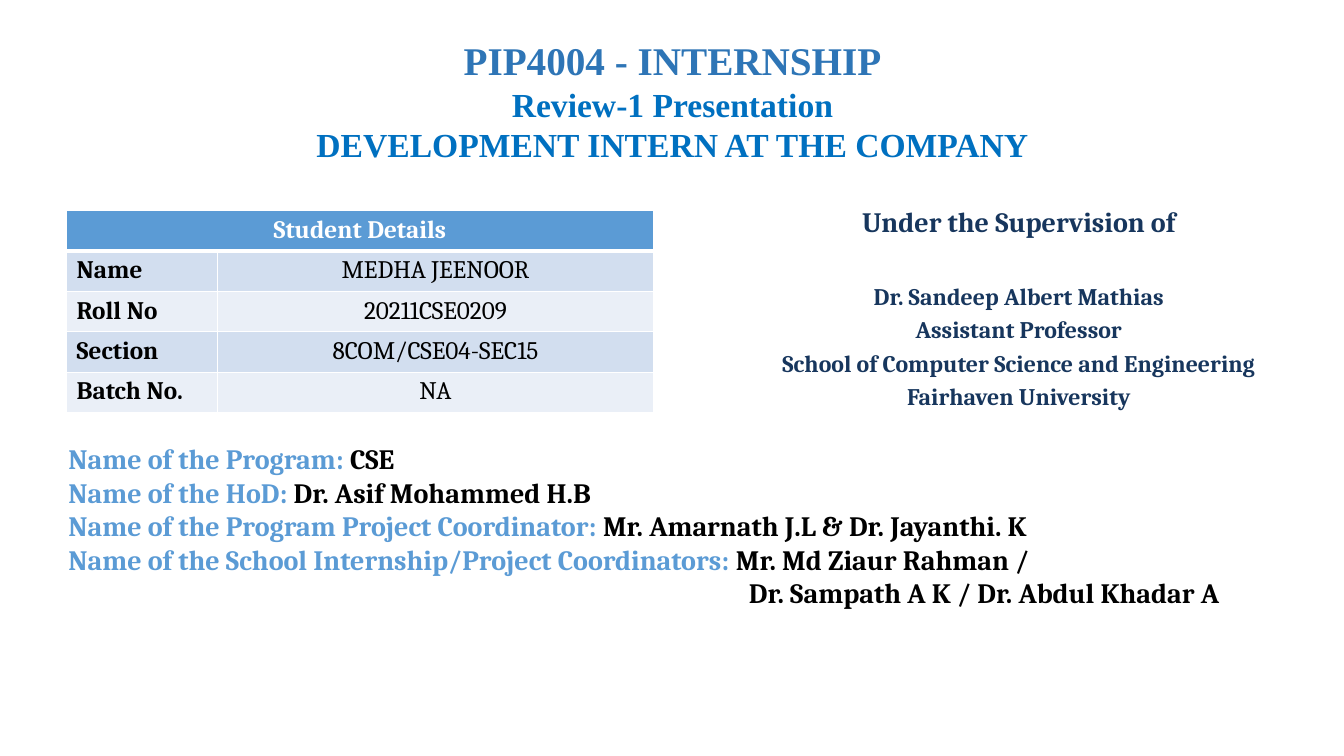
from lxml.etree import SubElement
from pptx import Presentation
from pptx.dml.color import RGBColor
from pptx.enum.text import MSO_ANCHOR, PP_ALIGN
from pptx.oxml.ns import qn
from pptx.util import Inches, Pt

WHITE = RGBColor(0xFF, 0xFF, 0xFF)
BLACK = RGBColor(0x00, 0x00, 0x00)
TITLE_BLUE = RGBColor(0x2E, 0x75, 0xB6)
SUBTITLE_BLUE = RGBColor(0x00, 0x70, 0xC0)
ACCENT_BLUE = RGBColor(0x5B, 0x9B, 0xD5)
NAVY = RGBColor(0x17, 0x36, 0x5D)
BANDS = (RGBColor(0xEA, 0xEF, 0xF7), RGBColor(0xD2, 0xDE, 0xEF))

TITLE_LINES = [
    ("PIP4004 - INTERNSHIP", 28, TITLE_BLUE),
    ("Review-1 Presentation", 24, SUBTITLE_BLUE),
    ("DEVELOPMENT INTERN AT THE COMPANY", 24, SUBTITLE_BLUE),
]
STUDENT_DETAILS = [
    ("Name", "MEDHA JEENOOR"),
    ("Roll No", "20211CSE0209"),
    ("Section", "8COM/CSE04-SEC15"),
    ("Batch No.", "NA"),
]
SUPERVISION_LINES = [
    ("Under the Supervision of", 20, 4),
    ("Dr. Sandeep Albert Mathias", 17, 31),
    ("Assistant Professor", 17, 3.4),
    ("School of Computer Science and Engineering", 17, 3.4),
    ("Fairhaven University", 17, 3.4),
]
PROGRAM_LINES = [
    ("Name of the Program: ", "CSE"),
    ("Name of the HoD: ", "Dr. Asif Mohammed H.B"),
    ("Name of the Program Project Coordinator: ", "Mr. Amarnath J.L & Dr. Jayanthi. K"),
    ("Name of the School Internship/Project Coordinators: ", "Mr. Md Ziaur Rahman /"),
    ("", "Dr. Sampath A K / Dr. Abdul Khadar A"),
]


def add_run(paragraph, text, size, color, name="Cambria", bold=True):
    run = paragraph.add_run()
    run.text = text
    for key, value in {"size": Pt(size), "name": name, "bold": bold}.items():
        setattr(run.font, key, value)
    run.font.color.rgb = color


def add_text_frame(slide, box, anchor=MSO_ANCHOR.TOP):
    frame = slide.shapes.add_textbox(*map(Inches, box)).text_frame
    frame.word_wrap = True
    frame.vertical_anchor = anchor
    return frame


def next_paragraph(frame, index):
    return frame.add_paragraph() if index else frame.paragraphs[0]


def add_title(slide, box):
    frame = add_text_frame(slide, box, MSO_ANCHOR.MIDDLE)
    for index, (text, size, color) in enumerate(TITLE_LINES):
        paragraph = next_paragraph(frame, index)
        paragraph.alignment = PP_ALIGN.CENTER
        add_run(paragraph, text, size, color, "Times New Roman")


def set_borders(cell, widths):
    properties = cell._tc.get_or_add_tcPr()
    for position, (side, width) in enumerate(widths.items()):
        line = SubElement(properties, qn(f"a:{side}"), w=str(Pt(width)))
        fill = SubElement(line, qn("a:solidFill"))
        SubElement(fill, qn("a:srgbClr"), val=str(WHITE))
        properties.insert(position, line)


def add_student_table(slide, box):
    row_count = len(STUDENT_DETAILS) + 1
    table = slide.shapes.add_table(row_count, 2, *map(Inches, box)).table
    label_width = 1.5
    for column, width in zip(table.columns, (label_width, box[2] - label_width)):
        column.width = Inches(width)
    for row_index, texts in enumerate([("Student Details", "")] + STUDENT_DETAILS):
        header = row_index == 0
        for column_index, text in enumerate(texts):
            cell = table.cell(row_index, column_index)
            cell.fill.solid()
            cell.fill.fore_color.rgb = ACCENT_BLUE if header else BANDS[row_index % 2]
            set_borders(cell, {"lnL": 1, "lnR": 1, "lnT": 3 if row_index == 1 else 1,
                               "lnB": 3 if header else 1})
            if text:
                label = column_index == 0
                paragraph = cell.text_frame.paragraphs[0]
                paragraph.alignment = PP_ALIGN.CENTER if header or not label else PP_ALIGN.LEFT
                add_run(paragraph, text, 18, WHITE if header else BLACK, bold=label)
    table.cell(0, 0).merge(table.cell(0, 1))


def add_supervision(slide, box):
    frame = add_text_frame(slide, box)
    for index, (text, size, space) in enumerate(SUPERVISION_LINES):
        paragraph = next_paragraph(frame, index)
        paragraph.alignment = PP_ALIGN.CENTER
        paragraph.space_before = Pt(space)
        add_run(paragraph, text, size, NAVY)


def add_program(slide, box):
    frame = add_text_frame(slide, box)
    for index, (label, names) in enumerate(PROGRAM_LINES):
        paragraph = next_paragraph(frame, index)
        if label:
            add_run(paragraph, label, 20, ACCENT_BLUE)
        else:
            paragraph._p.get_or_add_pPr().set("marL", str(Inches(6.75)))
        add_run(paragraph, names, 20, BLACK)


def main():
    presentation = Presentation()
    presentation.slide_width = Inches(13.33)
    presentation.slide_height = Inches(7.5)
    slide = presentation.slides.add_slide(presentation.slide_layouts[6])
    add_title(slide, (0.92, 0.14, 11.5, 1.71))
    add_student_table(slide, (0.66, 2.09, 5.82, 2))
    add_supervision(slide, (7.09, 1.98, 6.03, 2.21))
    add_program(slide, (0.58, 4.33, 12.7, 1.71))
    presentation.save("out.pptx")


if __name__ == "__main__":
    main()
